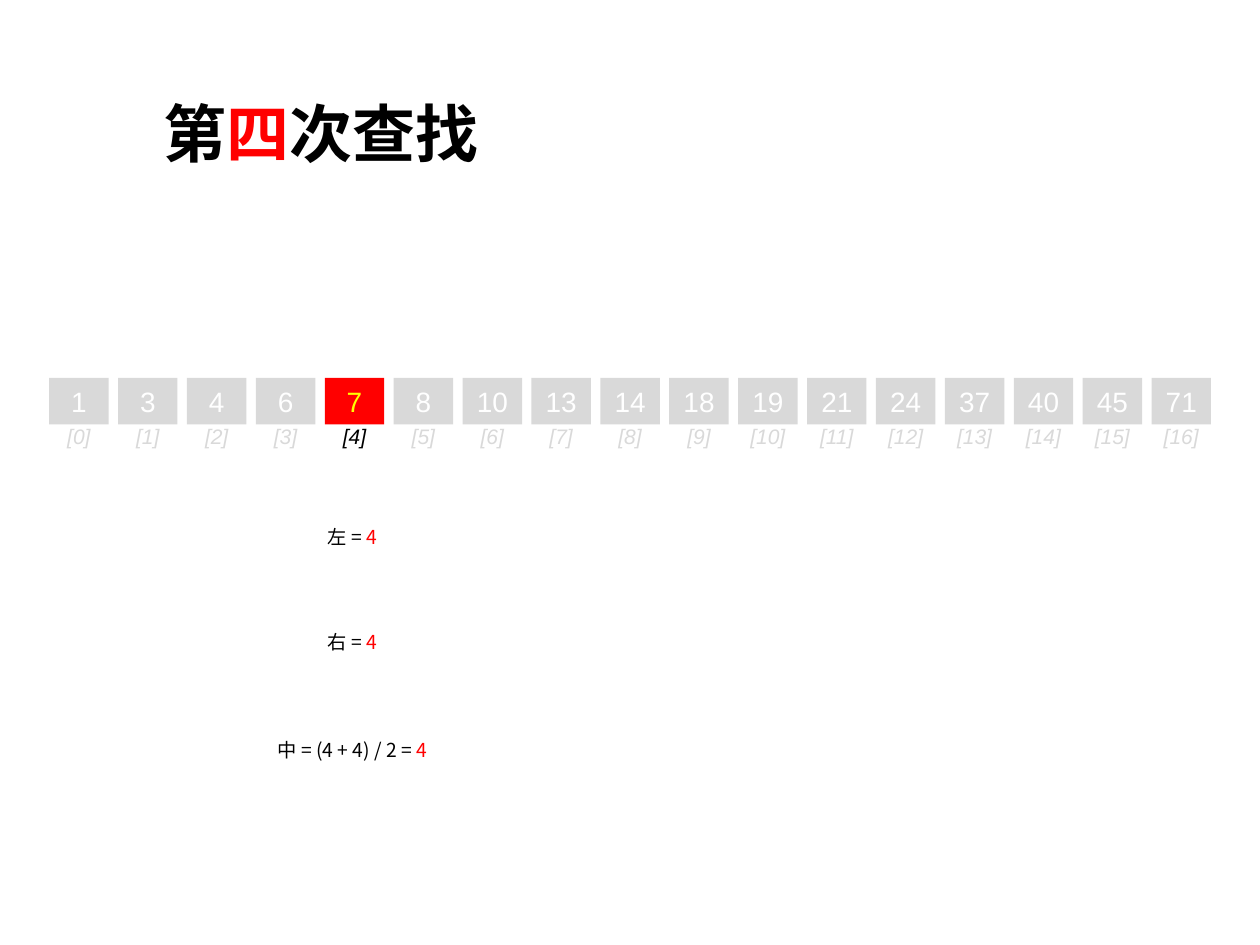
from pptx import Presentation
from pptx.dml.color import RGBColor
from pptx.enum.shapes import MSO_SHAPE
from pptx.enum.text import MSO_ANCHOR, MSO_AUTO_SIZE, PP_ALIGN
from pptx.oxml.ns import qn
from pptx.util import Pt

BLACK = RGBColor(0x00, 0x00, 0x00)
WHITE = RGBColor(0xFF, 0xFF, 0xFF)
RED = RGBColor(0xFF, 0x00, 0x00)
YELLOW = RGBColor(0xFF, 0xFF, 0x00)
GREY = RGBColor(0xD9, 0xD9, 0xD9)

LATIN = "Arial"
CJK = "Noto Sans CJK SC"

VALUES = [1, 3, 4, 6, 7, 8, 10, 13, 14, 18, 19, 21, 24, 37, 40, 45, 71]
MIDDLE = 4

ROW_LEFT, ROW_TOP, PITCH = 28.1, 216, 39.37
CELL_WIDTH, CELL_HEIGHT = 34, 26.6
INDEX_TOP, INDEX_HEIGHT = 238.3, 21.6
FORMULA_CENTER, FORMULA_HEIGHT = 201.5, 21

# Text before the result, top, width
FORMULAS = [
    ("左 = ", 296.6, 56),
    ("右 = ", 356.4, 50),
    ("中 = (4 + 4) / 2 = ", 418.3, 155),
]


def write(frame, *runs, size, font=LATIN, align=PP_ALIGN.CENTER, bold=False,
          italic=False, wrap=True, anchor=MSO_ANCHOR.TOP):
    """Fill a text frame with one paragraph of (text, colour) runs."""
    frame.auto_size = MSO_AUTO_SIZE.NONE
    frame.word_wrap = wrap
    frame.vertical_anchor = anchor
    paragraph = frame.paragraphs[0]
    paragraph.alignment = align
    for text, colour in runs:
        run = paragraph.add_run()
        run.text = text
        run.font.size = Pt(size)
        run.font.bold = bold
        run.font.italic = italic
        run.font.color.rgb = colour
        run.font.name = font
        east_asian = run.font._element.makeelement(qn("a:ea"), {"typeface": font})
        run.font._element.find(qn("a:latin")).addnext(east_asian)


class SearchSlide:
    def __init__(self, presentation):
        self.slide = presentation.slides.add_slide(presentation.slide_layouts[5])

    def title(self, *runs):
        title = self.slide.shapes.title
        title.left, title.top, title.width, title.height = Pt(0), Pt(50.4), Pt(720), Pt(51)
        title.text_frame.margin_left = Pt(93.5)
        write(title.text_frame, *runs, size=36, font=CJK, bold=True,
              align=PP_ALIGN.LEFT, anchor=MSO_ANCHOR.MIDDLE)

    def cell(self, left, value, fill, colour):
        cell = self.slide.shapes.add_shape(
            MSO_SHAPE.RECTANGLE, Pt(left), Pt(ROW_TOP), Pt(CELL_WIDTH), Pt(CELL_HEIGHT))
        cell.shadow.inherit = False
        cell.fill.solid()
        cell.fill.fore_color.rgb = fill
        cell.line.fill.background()
        write(cell.text_frame, (str(value), colour), size=16, anchor=MSO_ANCHOR.MIDDLE)

    def label(self, center, top, width, height, *runs, **style):
        box = self.slide.shapes.add_textbox(
            Pt(center - width / 2), Pt(top), Pt(width), Pt(height))
        write(box.text_frame, *runs, **style)

    def array(self, values, middle):
        """Draw the values with their indexes, highlighting the middle one."""
        for index, value in enumerate(values):
            left = ROW_LEFT + index * PITCH
            found = index == middle
            self.cell(left, value, RED if found else GREY, YELLOW if found else WHITE)
            self.label(left + CELL_WIDTH / 2, INDEX_TOP, 28 if index < 10 else 34.4,
                       INDEX_HEIGHT, (f"[{index}]", BLACK if found else GREY),
                       size=12, italic=True, wrap=False)

    def formula(self, expression, top, width, result):
        self.label(FORMULA_CENTER, top, width, FORMULA_HEIGHT,
                   (expression, BLACK), (str(result), RED), size=11, font=CJK)


def main():
    presentation = Presentation()
    presentation.slide_width, presentation.slide_height = Pt(720), Pt(540)
    search = SearchSlide(presentation)
    search.title(("第", BLACK), ("四", RED), ("次查找", BLACK))
    search.array(VALUES, MIDDLE)
    for expression, top, width in FORMULAS:
        search.formula(expression, top, width, MIDDLE)
    presentation.save("out.pptx")


if __name__ == "__main__":
    main()
